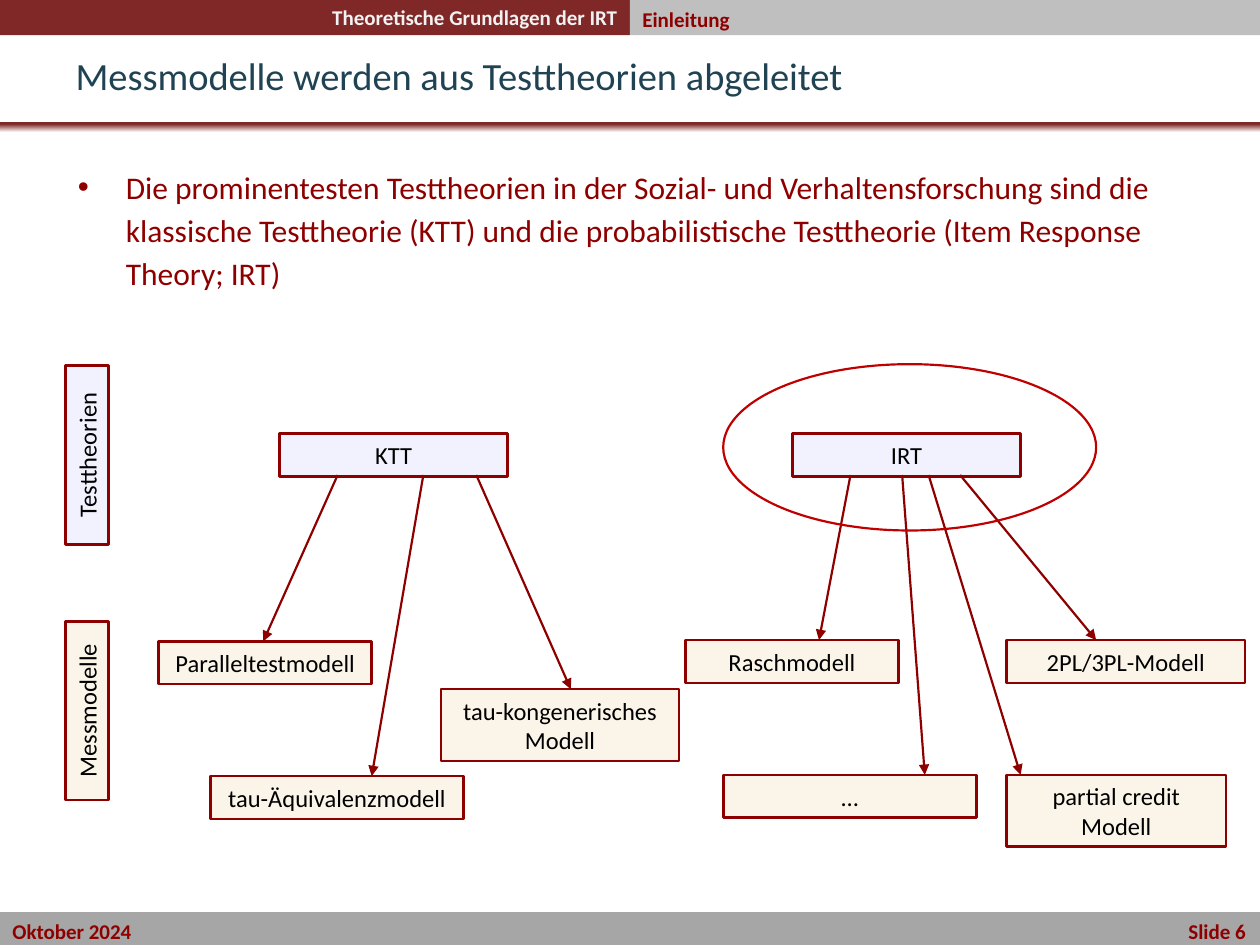
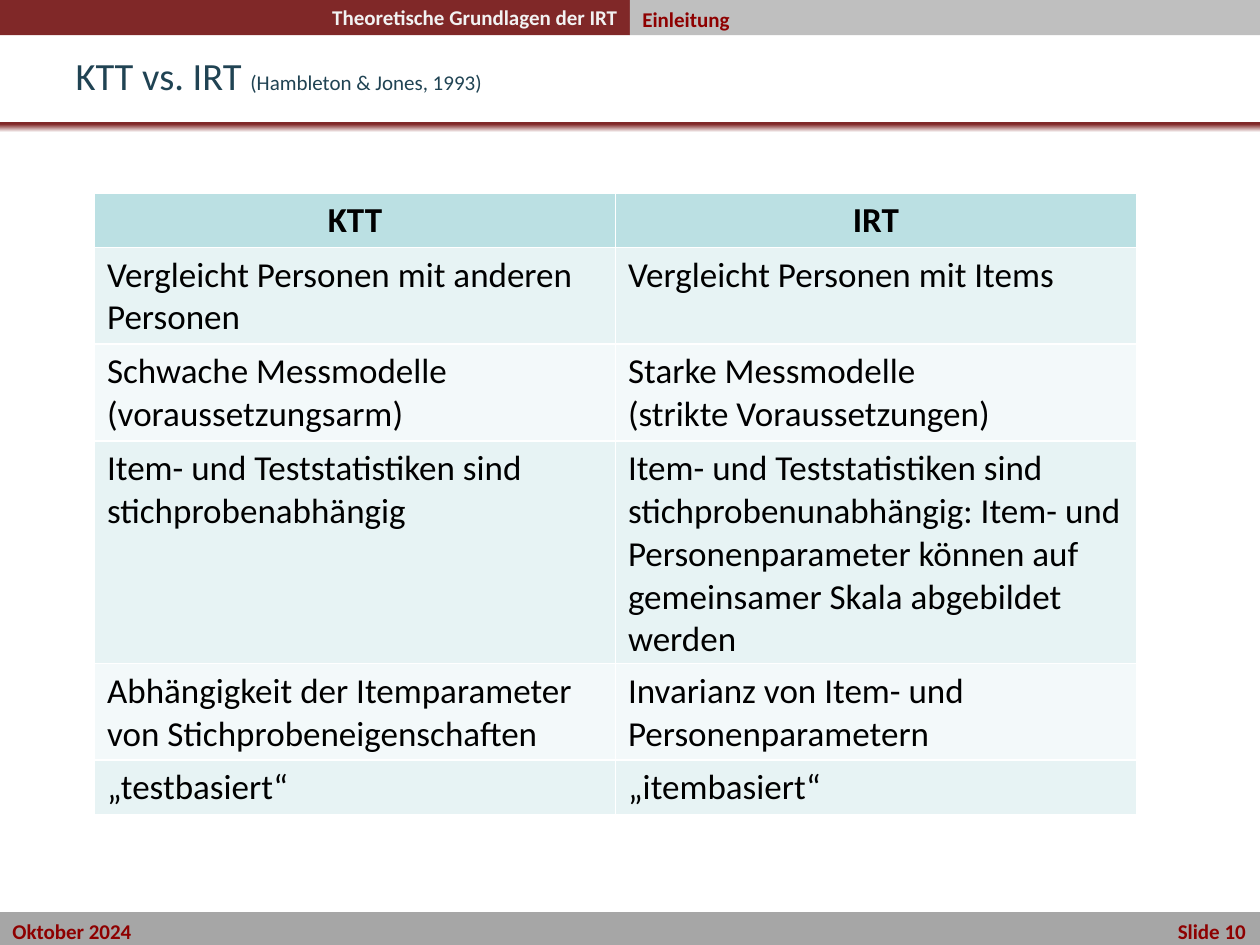
from lxml.etree import SubElement
from pptx import Presentation
from pptx.dml.color import RGBColor
from pptx.enum.shapes import MSO_CONNECTOR, MSO_SHAPE
from pptx.enum.text import MSO_ANCHOR, PP_ALIGN
from pptx.oxml.ns import qn
from pptx.util import Inches, Pt

FONT = "Calibri"
RED, WINE, TEAL, BLACK = "8E0000", "802828", "204353", "000000"
LILAC, SAND = "CCCCFF", "F3DBAB"
LEFT, MID, RIGHT = PP_ALIGN.LEFT, PP_ALIGN.CENTER, PP_ALIGN.RIGHT

COURSE, PART, DATE = "Theoretische Grundlagen der IRT", "Einleitung", "Oktober 2024"
POINT = ("Die prominentesten Testtheorien in der Sozial- und Verhaltensforschung "
         "sind die klassische Testtheorie (KTT) und die probabilistische "
         "Testtheorie (Item Response Theory; IRT)")

LABELS = [("Testtheorien", 3.44, LILAC), ("Messmodelle", 5.47, SAND)]
THEORIES = [("KTT", 2.22), ("IRT", 6.29)]
MODELS = [
    ("Paralleltestmodell", 1.26, 5.09, 1.69, 0.34),
    ("tau-Äquivalenzmodell", 1.67, 6.16, 2.01, 0.34),
    ("tau-kongenerisches Modell", 3.5, 5.47, 1.89, 0.57),
    ("Raschmodell", 5.44, 5.08, 1.69, 0.34),
    ("…", 5.74, 6.15, 2.01, 0.34),
    ("2PL/3PL-Modell", 7.99, 5.08, 1.89, 0.34),
    ("partial credit Modell", 7.99, 6.15, 1.74, 0.57),
]
ARROWS = [
    (2.68, 2.09, 5.09), (3.78, 4.53, 5.47), (3.36, 2.95, 6.16),
    (6.75, 6.5, 5.08), (7.62, 8.7, 5.08), (7.16, 7.34, 6.15), (7.37, 8.1, 6.15),
]
ROWS = [
    ("KTT", "IRT"),
    ("Vergleicht Personen mit anderen Personen", "Vergleicht Personen mit Items"),
    ("Schwache Messmodelle\n(voraussetzungsarm)",
     "Starke Messmodelle\n(strikte Voraussetzungen)"),
    ("Item- und Teststatistiken sind stichprobenabhängig",
     "Item- und Teststatistiken sind stichprobenunabhängig: Item- und "
     "Personenparameter können auf gemeinsamer Skala abgebildet werden"),
    ("Abhängigkeit der Itemparameter von Stichprobeneigenschaften",
     "Invarianz von Item- und Personenparametern"),
    ("„testbasiert“", "„itembasiert“"),
]


def tint(hue):
    """Turn a hex string into a colour."""
    return RGBColor.from_string(hue)


def write(frame, text, size=14, hue=BLACK, bold=False, align=LEFT,
          anchor=MSO_ANCHOR.MIDDLE):
    """Fill a text frame, one paragraph per line of text."""
    frame.word_wrap = True
    frame.vertical_anchor = anchor
    for i, line in enumerate(text.split("\n")):
        para = frame.paragraphs[0] if i == 0 else frame.add_paragraph()
        para.alignment = align
        run = para.add_run()
        run.text = line
        style(run, size, hue, bold)
    return frame.paragraphs[0]


def style(run, size, hue, bold=False):
    """Set the font of one run."""
    font = run.font
    font.name, font.size, font.bold = FONT, Pt(size), bold
    font.color.rgb = tint(hue)


def shape(slide, box, fill=None, line=None, width=1.5, kind=MSO_SHAPE.RECTANGLE):
    """Add a preset shape with plain fill and line."""
    item = slide.shapes.add_shape(kind, *map(Inches, box))
    item.shadow.inherit = False
    if fill:
        item.fill.solid()
        item.fill.fore_color.rgb = tint(fill)
    else:
        item.fill.background()
    if line:
        item.line.color.rgb = tint(line)
        item.line.width = Pt(width)
    else:
        item.line.fill.background()
    return item


def label(slide, text, box, fill, turn=0):
    """Add a framed box with a pale, see-through fill."""
    item = shape(slide, box, fill, RED)
    item.rotation = turn
    hue = item.fill._xPr.find(qn("a:solidFill"))[0]
    SubElement(hue, qn("a:alpha"), val="25000")
    write(item.text_frame, text, align=MID)


def note(slide, text, box, **form):
    """Add a text box."""
    frame = slide.shapes.add_textbox(*map(Inches, box)).text_frame
    return write(frame, text, **form)


def arrow(slide, start, end):
    """Add a straight arrow."""
    link = slide.shapes.add_connector(
        MSO_CONNECTOR.STRAIGHT, *map(Inches, start + end))
    link.line.color.rgb = tint(RED)
    link.line.width = Pt(1.25)
    SubElement(link.line._get_or_add_ln(), qn("a:tailEnd"),
               type="triangle", w="med", len="med")
    SubElement(link._element.spPr, qn("a:effectLst"))


def start(deck, title, page):
    """Add a slide with bands, title and footer."""
    slide = deck.slides.add_slide(deck.slide_layouts[5])
    foot = shape(slide, (0, 7.24, 10, 0.3), "A6A6A6")
    para = write(foot.text_frame, f"{DATE}\tSlide {page}", size=12, hue=RED, bold=True)
    tabs = SubElement(para._p.get_or_add_pPr(), qn("a:tabLst"))
    SubElement(tabs, qn("a:tab"), pos=str(Inches(9.79)), algn="r")
    rule = shape(slide, (0, 0.97, 10, 0.08))
    rule.fill.gradient()
    rule.fill.gradient_angle = 90
    for stop, (spot, hue) in zip(rule.fill.gradient_stops, [(0, "FFFFFF"), (0.81, WINE)]):
        stop.position = spot
        stop.color.rgb = tint(hue)
    shape(slide, (0, 0, 5, 0.28), WINE)
    shape(slide, (5, 0, 5, 0.28), "BFBFBF")
    note(slide, COURSE, (0, -0.01, 5, 0.3), size=12, hue="F2F2F2", bold=True, align=RIGHT)
    note(slide, PART, (5, 0, 5, 0.39), size=12, hue=RED, bold=True, anchor=MSO_ANCHOR.TOP)
    head = slide.shapes.title
    head.left, head.top, head.width, head.height = map(Inches, (0.5, 0.36, 8.04, 0.47))
    write(head.text_frame, title, size=22, hue=TEAL)
    return slide


def models(deck):
    """Build the slide that derives models from theories."""
    slide = start(deck, "Messmodelle werden aus Testtheorien abgeleitet", 6)
    para = note(slide, POINT, (0.52, 1.24, 9.21, 5.98), size=18, hue=RED,
                anchor=MSO_ANCHOR.TOP)
    para.line_spacing, para.space_before = 1.14, Pt(6)
    form = para._p.get_or_add_pPr()
    form.set("marL", str(Inches(0.38)))
    form.set("indent", str(Inches(-0.38)))
    SubElement(form, qn("a:buFont"), typeface="Arial")
    SubElement(form, qn("a:buChar"), char="•")
    for text, top, fill in LABELS:
        label(slide, text, (-0.02, top, 1.42, 0.34), fill, 270)
    for text, left in THEORIES:
        label(slide, text, (left, 3.44, 1.81, 0.34), LILAC)
    for text, *box in MODELS:
        label(slide, text, box, SAND)
    for left, end, low in ARROWS:
        arrow(slide, (left, 3.77), (end, low))
    shape(slide, (5.74, 2.89, 2.96, 1.32), line="C00000", width=1.25, kind=MSO_SHAPE.OVAL)


def compare(deck):
    """Build the slide that compares both theories in a table."""
    slide = start(deck, "KTT vs. IRT ", 10)
    cite = slide.shapes.title.text_frame.paragraphs[0].add_run()
    cite.text = "(Hambleton & Jones, 1993)"
    style(cite, 12, TEAL)
    box = map(Inches, (0.75, 1.53, 8.27, 0.41 * len(ROWS)))
    grid = slide.shapes.add_table(len(ROWS), 2, *box).table
    for i, row in enumerate(ROWS):
        top = i == 0
        fill = "BBE0E3" if top else ("F3F9FA", "E7F3F4")[i % 2]
        for j, text in enumerate(row):
            cell = grid.cell(i, j)
            cell.fill.solid()
            cell.fill.fore_color.rgb = tint(fill)
            write(cell.text_frame, text, size=20, bold=top,
                  align=MID if top else LEFT, anchor=MSO_ANCHOR.TOP)


def main():
    """Build and save the deck."""
    deck = Presentation()
    deck.slide_width, deck.slide_height = Inches(10), Inches(7.5)
    models(deck)
    compare(deck)
    deck.save("out.pptx")


if __name__ == "__main__":
    main()
